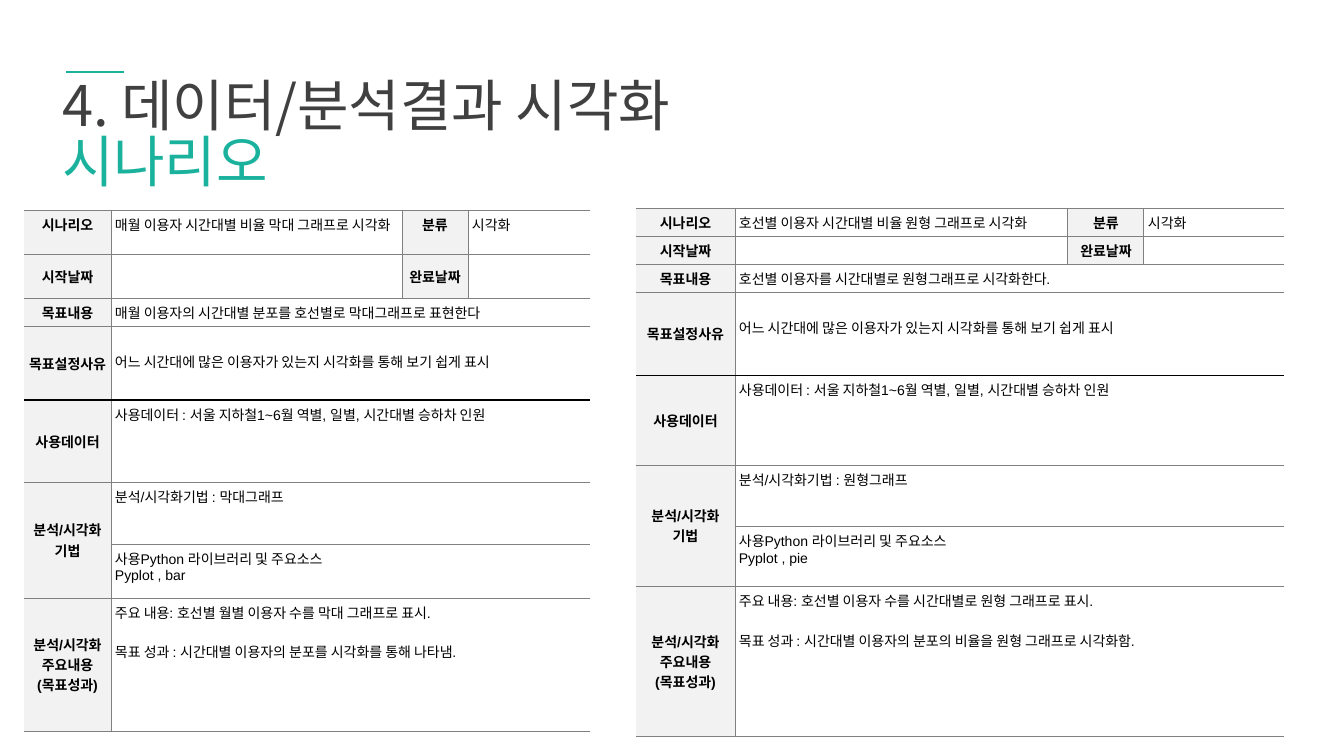
from dataclasses import dataclass

from lxml import etree
from pptx import Presentation
from pptx.dml.color import RGBColor
from pptx.enum.shapes import MSO_CONNECTOR
from pptx.enum.text import MSO_ANCHOR, MSO_AUTO_SIZE, PP_ALIGN
from pptx.oxml.ns import qn
from pptx.util import Emu, Pt

LEFT, CENTER = PP_ALIGN.LEFT, PP_ALIGN.CENTER
TOP, MIDDLE = MSO_ANCHOR.TOP, MSO_ANCHOR.MIDDLE
STRAIGHT = MSO_CONNECTOR.STRAIGHT
NO_AUTOFIT = MSO_AUTO_SIZE.NONE
TITLE_ONLY_LAYOUT = 5
PX_PER_INCH = 100.8
CELL_INSET = 4
REASON_INSET = 25
REASON_ROW = 3
METHOD_ROW = 5
SPLIT_ROWS = 2


@dataclass(frozen=True)
class Theme:
    title_font: str = "Noto Sans CJK KR"
    table_font: str = "Arial"
    title_size: float = 40
    table_size: float = 10
    title_color: str = "404040"
    accent: str = "1AB29D"
    text: str = "000000"
    label_fill: str = "F2F2F2"
    grid: str = "808080"
    divider: str = "000000"
    grid_width: float = 0.75
    divider_width: float = 1
    accent_width: float = 2
    title_spacing: float = 0.83
    result_gap: float = 14


@dataclass(frozen=True)
class Scenario:
    left: int
    top: int
    columns: tuple[int, ...]
    rows: tuple[int, ...]
    name: str
    goal: str
    chart: str
    function: str
    content: str
    result: str


@dataclass(frozen=True)
class CellText:
    row: int
    column: int
    lines: tuple[str, ...]
    label: bool = False
    anchor: MSO_ANCHOR = TOP
    gap: float = 0


THEME = Theme()
SCENARIOS = (
    Scenario(24, 210, (87, 291, 66, 122), (44, 44, 27, 74, 82, 62, 54, 133),
             "매월 이용자 시간대별 비율 막대 그래프로 시각화",
             "매월 이용자의 시간대별 분포를 호선별로 막대그래프로 표현한다",
             "막대그래프", "bar",
             "호선별 월별 이용자 수를 막대 그래프로 표시.",
             "시간대별 이용자의 분포를 시각화를 통해 나타냄."),
    Scenario(636, 208, (99, 333, 76, 140), (25, 24, 25, 83, 90, 61, 60, 150),
             "호선별 이용자 시간대별 비율 원형 그래프로 시각화",
             "호선별 이용자를 시간대별로 원형그래프로 시각화한다.",
             "원형그래프", "pie",
             "호선별 이용자 수를 시간대별로 원형 그래프로 표시.",
             "시간대별 이용자의 분포의 비율을 원형 그래프로 시각화함."),
)


def px(length: int) -> Emu:
    return Emu(round(length * 914400 / PX_PER_INCH))


def rgb(color: str) -> RGBColor:
    return RGBColor.from_string(color)


def scenario_cells(scenario: Scenario) -> tuple[CellText, ...]:
    return (
        CellText(0, 0, ("시나리오",), True),
        CellText(0, 1, (scenario.name,)),
        CellText(0, 2, ("분류",), True),
        CellText(0, 3, ("시각화",)),
        CellText(1, 0, ("시작날짜",), True, MIDDLE),
        CellText(1, 1, ("",)),
        CellText(1, 2, ("완료날짜",), True, MIDDLE),
        CellText(1, 3, ("",)),
        CellText(2, 0, ("목표내용",), True),
        CellText(2, 1, (scenario.goal,)),
        CellText(3, 0, ("목표설정사유",), True, MIDDLE),
        CellText(3, 1, ("어느 시간대에 많은 이용자가 있는지 시각화를 통해 보기 쉽게 표시",)),
        CellText(4, 0, ("사용데이터",), True, MIDDLE),
        CellText(4, 1, ("사용데이터 : 서울 지하철1~6월 역별, 일별, 시간대별 승하차 인원",)),
        CellText(5, 0, ("분석/시각화 기법",), True, MIDDLE),
        CellText(5, 1, (f"분석/시각화기법 : {scenario.chart}",)),
        CellText(6, 1, ("사용Python 라이브러리 및 주요소스", f"Pyplot , {scenario.function}")),
        CellText(7, 0, ("분석/시각화 주요내용", "(목표성과)"), True, MIDDLE),
        CellText(7, 1, (f"주요 내용: {scenario.content}", f"목표 성과 : {scenario.result}"),
                 gap=THEME.result_gap),
    )


def add_border(cell, side: str, color: str | None, width: float) -> None:
    line = etree.SubElement(cell._tc.get_or_add_tcPr(), qn(f"a:ln{side}"), w=str(Pt(width)))
    if color is None:
        etree.SubElement(line, qn("a:noFill"))
    else:
        fill = etree.SubElement(line, qn("a:solidFill"))
        etree.SubElement(fill, qn("a:srgbClr"), val=color)


def format_grid(table) -> None:
    grid = (THEME.grid, THEME.grid_width)
    divider = (THEME.divider, THEME.divider_width)
    hidden = (None, THEME.grid_width)
    for row in range(len(table.rows)):
        inner_edges = {1, 2, 3} if row < SPLIT_ROWS else {1}
        for column in range(len(table.columns)):
            cell = table.cell(row, column)
            add_border(cell, "L", *(grid if column in inner_edges else hidden))
            add_border(cell, "R", *(grid if column + 1 in inner_edges else hidden))
            add_border(cell, "T", *(divider if row == REASON_ROW + 1 else grid))
            add_border(cell, "B", *(divider if row == REASON_ROW else grid))
            cell.fill.background()
            cell.margin_left = cell.margin_right = px(CELL_INSET)
            cell.margin_top = cell.margin_bottom = px(CELL_INSET)


def write_cell(table, content: CellText) -> None:
    cell = table.cell(content.row, content.column)
    cell.vertical_anchor = content.anchor
    if content.label:
        cell.fill.solid()
        cell.fill.fore_color.rgb = rgb(THEME.label_fill)
    elif content.row == REASON_ROW:
        cell.margin_top = px(REASON_INSET)
    cell.text_frame.text = "\n".join(content.lines)
    for index, paragraph in enumerate(cell.text_frame.paragraphs):
        paragraph.alignment = CENTER if content.label else LEFT
        if index and content.gap:
            paragraph.space_before = Pt(content.gap)
        paragraph.font.name = THEME.table_font
        paragraph.font.size = Pt(THEME.table_size)
        paragraph.font.bold = content.label
        paragraph.font.color.rgb = rgb(THEME.text)
        if not paragraph.text:
            size = str(round(THEME.table_size * 100))
            etree.SubElement(paragraph._p, qn("a:endParaRPr"), sz=size)


def add_scenario(slide, scenario: Scenario) -> None:
    frame = slide.shapes.add_table(
        len(scenario.rows), len(scenario.columns), px(scenario.left), px(scenario.top),
        px(sum(scenario.columns)), px(sum(scenario.rows)))
    table = frame.table
    table.first_row = table.horz_banding = False
    for column, width in zip(table.columns, scenario.columns):
        column.width = px(width)
    for row, height in zip(table.rows, scenario.rows):
        row.height = px(height)
    format_grid(table)
    for row in range(SPLIT_ROWS, len(scenario.rows)):
        table.cell(row, 1).merge(table.cell(row, 3))
    table.cell(METHOD_ROW, 0).merge(table.cell(METHOD_ROW + 1, 0))
    for content in scenario_cells(scenario):
        write_cell(table, content)


def add_title(slide) -> None:
    title = slide.shapes.title
    title.left, title.top, title.width, title.height = px(52), px(77), px(885), px(78)
    frame = title.text_frame
    frame.auto_size = NO_AUTOFIT
    frame.word_wrap = True
    frame.vertical_anchor = TOP
    paragraph = frame.paragraphs[0]
    paragraph.alignment = LEFT
    paragraph.line_spacing = THEME.title_spacing
    paragraph.font.name = THEME.title_font
    paragraph.font.size = Pt(THEME.title_size)
    heading = paragraph.add_run()
    heading.text = "4. 데이터/분석결과 시각화"
    heading.font.color.rgb = rgb(THEME.title_color)
    paragraph.add_line_break()
    subject = paragraph.add_run()
    subject.text = "시나리오"
    subject.font.color.rgb = rgb(THEME.accent)


def add_accent(slide) -> None:
    accent = slide.shapes.add_connector(STRAIGHT, px(66), px(72), px(124), px(72))
    accent.line.color.rgb = rgb(THEME.accent)
    accent.line.width = Pt(THEME.accent_width)
    etree.SubElement(accent._element.spPr, qn("a:effectLst"))


def main() -> None:
    presentation = Presentation()
    presentation.slide_width, presentation.slide_height = px(1344), px(756)
    slide = presentation.slides.add_slide(presentation.slide_layouts[TITLE_ONLY_LAYOUT])
    add_title(slide)
    add_accent(slide)
    for scenario in SCENARIOS:
        add_scenario(slide, scenario)
    presentation.save("out.pptx")


if __name__ == "__main__":
    main()
